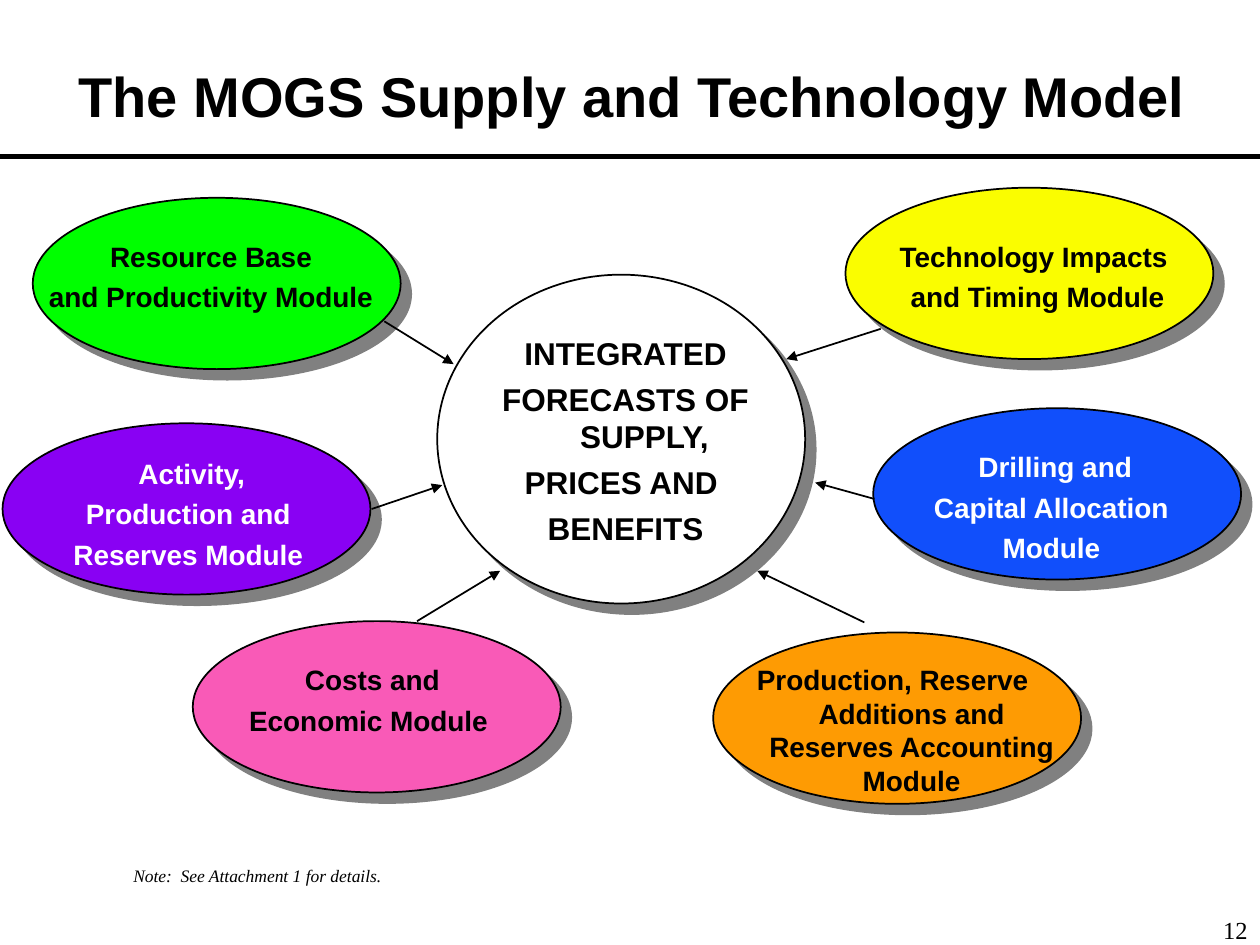
from lxml import etree
from pptx import Presentation
from pptx.dml.color import RGBColor
from pptx.enum.shapes import MSO_CONNECTOR, MSO_SHAPE
from pptx.enum.text import MSO_ANCHOR, MSO_AUTO_SIZE, PP_ALIGN
from pptx.oxml.ns import qn
from pptx.util import Inches, Pt

OVAL = MSO_SHAPE.OVAL
STRAIGHT = MSO_CONNECTOR.STRAIGHT
LEFT, CENTER, RIGHT = PP_ALIGN.LEFT, PP_ALIGN.CENTER, PP_ALIGN.RIGHT
COLORS = {
    "black": "000000", "white": "FFFFFF", "shadow": "808080",
    "green": "00FF00", "purple": "8901F3", "pink": "F95AB7",
    "yellow": "FAFD00", "blue": "114FFB", "orange": "FE9B03",
}


def write_text(box, lines, align, color, space=0, hanging=0, **font):
    frame = box.text_frame
    frame.word_wrap = True
    frame.auto_size = MSO_AUTO_SIZE.NONE
    for index, line in enumerate(lines):
        para = frame.paragraphs[0] if index == 0 else frame.add_paragraph()
        para.alignment = align
        para.space_before = Pt(space)
        if hanging:
            properties = para._p.get_or_add_pPr()
            properties.set("marL", str(Inches(hanging)))
            properties.set("indent", str(-Inches(hanging)))
        span = para.add_run()
        span.text = line
        span.font.color.rgb = RGBColor.from_string(COLORS[color])
        for name, value in font.items():
            setattr(span.font, name, value)


def add_line(page, start, end, width, arrow):
    line = page.shapes.add_connector(STRAIGHT, *map(Inches, start + end))
    line.line.color.rgb = RGBColor.from_string(COLORS["black"])
    line.line.width = Pt(width)
    if arrow:
        etree.SubElement(line.line._get_or_add_ln(), qn("a:tailEnd"), type="triangle")
    etree.SubElement(line._element.spPr, qn("a:effectLst"))


deck = Presentation()
deck.slide_width, deck.slide_height = Inches(10), Inches(7.5)
page = deck.slides.add_slide(deck.slide_layouts[5])

title = page.shapes.title
title.left, title.top, title.width, title.height = map(Inches, (0.02, 0.13, 10, 1.25))
title.text_frame.vertical_anchor = MSO_ANCHOR.MIDDLE
write_text(title, ["The MOGS Supply and Technology Model"], CENTER, "black",
           name="Arial", size=Pt(32), bold=True)

modules = [
    ((0.26, 1.57), 1.36, "green", (0.24, 1.86), "black", 16,
     ["Resource Base", "and Productivity Module"]),
    ((0.02, 3.36), 1.36, "purple", (0.06, 3.58), "white", 16,
     [" Activity,", "Production and", "Reserves Module"]),
    ((1.53, 4.93), 1.36, "pink", (1.49, 5.22), "black", 16,
     [" Costs and", "Economic Module"]),
    ((6.71, 1.49), 1.36, "yellow", (6.8, 1.86), "black", 16,
     ["Technology Impacts ", "and Timing Module"]),
    ((6.93, 3.24), 1.36, "blue", (6.91, 3.53), "white", 16,
     [" Drilling and", "Capital Allocation", "Module"]),
    ((5.66, 5.02), 1.36, "orange", (5.65, 5.22), "black", 16,
     ["Production, Reserve Additions and Reserves Accounting Module"]),
    ((3.47, 2.18), 2.61, "white", (3.53, 2.61), "black", 18,
     ["INTEGRATED", "FORECASTS OF SUPPLY,", "PRICES AND ", "BENEFITS"]),
]
for corner, height, fill, text_corner, color, size, lines in modules:
    oval = page.shapes.add_shape(OVAL, *map(Inches, corner + (2.92, height)))
    oval.fill.solid()
    oval.fill.fore_color.rgb = RGBColor.from_string(COLORS[fill])
    oval.line.color.rgb = RGBColor.from_string(COLORS["black"])
    oval.line.width = Pt(1)
    oval.shadow.inherit = False
    effects = oval._element.spPr.find(qn("a:effectLst"))
    shadow = etree.SubElement(effects, qn("a:outerShdw"), dist=str(Pt(8.5)),
                              dir=str(45 * 60000), algn="ctr", rotWithShape="0")
    etree.SubElement(shadow, qn("a:srgbClr"), val=COLORS["shadow"])

    label = page.shapes.add_textbox(*map(Inches, text_corner + (2.87, 0.79)))
    frame = label.text_frame
    frame.margin_left = frame.margin_right = Inches(0.08)
    frame.margin_top = frame.margin_bottom = Inches(0.04)
    write_text(label, lines, CENTER, color, space=size / 4, hanging=0.3,
               name="Arial", size=Pt(size), bold=True)

arrows = [
    ((3.05, 2.55), (3.6, 2.89)),
    ((2.95, 4.04), (3.51, 3.85)),
    ((3.31, 4.93), (3.97, 4.53)),
    ((6.86, 4.94), (6.01, 4.53)),
    ((6.94, 3.96), (6.47, 3.83)),
    ((6.99, 2.61), (6.24, 2.85)),
]
for start, end in arrows:
    add_line(page, start, end, 1, arrow=True)

note = page.shapes.add_textbox(*map(Inches, (0.96, 6.82, 2.94, 0.27)))
write_text(note, ["Note:  See Attachment 1 for details."], LEFT, "black", space=6.2,
           name="Times New Roman", size=Pt(10), italic=True)

add_line(page, (0, 1.24), (10, 1.24), 3, arrow=False)

number = page.shapes.add_textbox(*map(Inches, (9.39, 7.21, 0.61, 0.29)))
write_text(number, ["12"], RIGHT, "black", name="Times New Roman", size=Pt(14))

deck.save("out.pptx")
